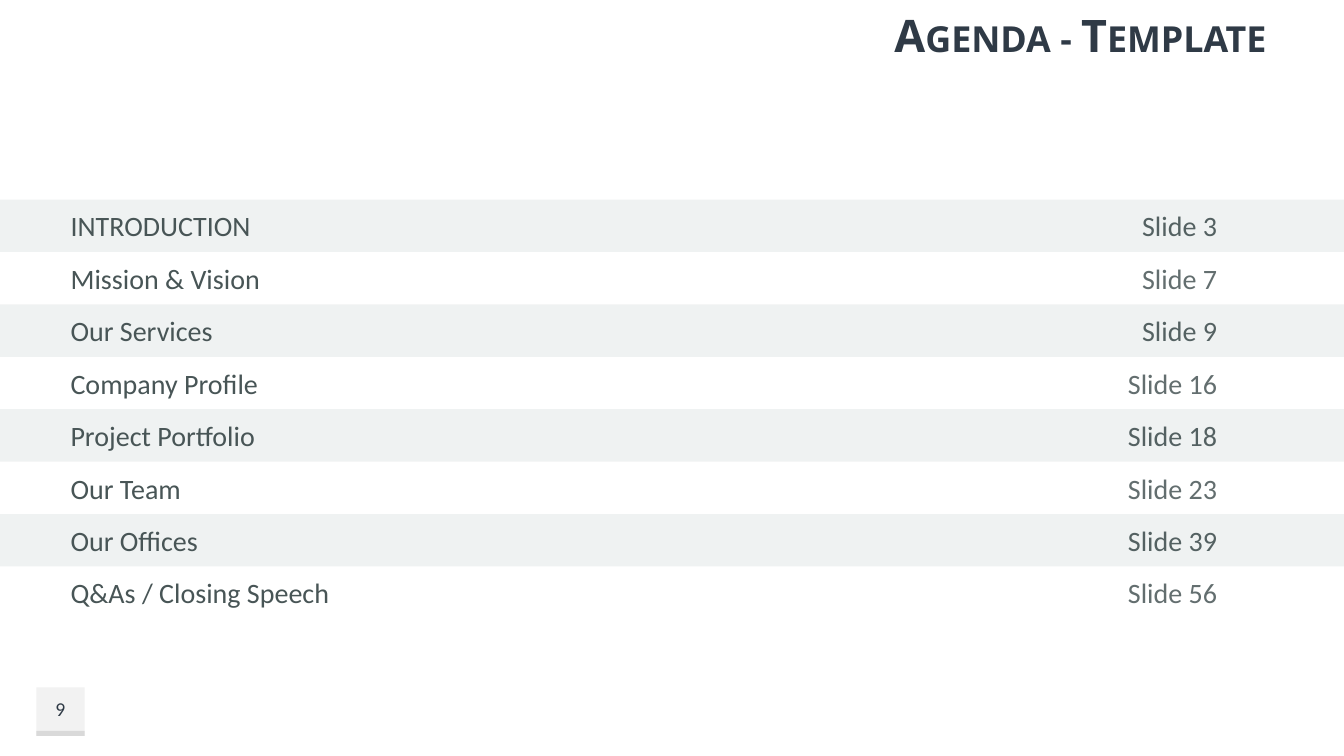
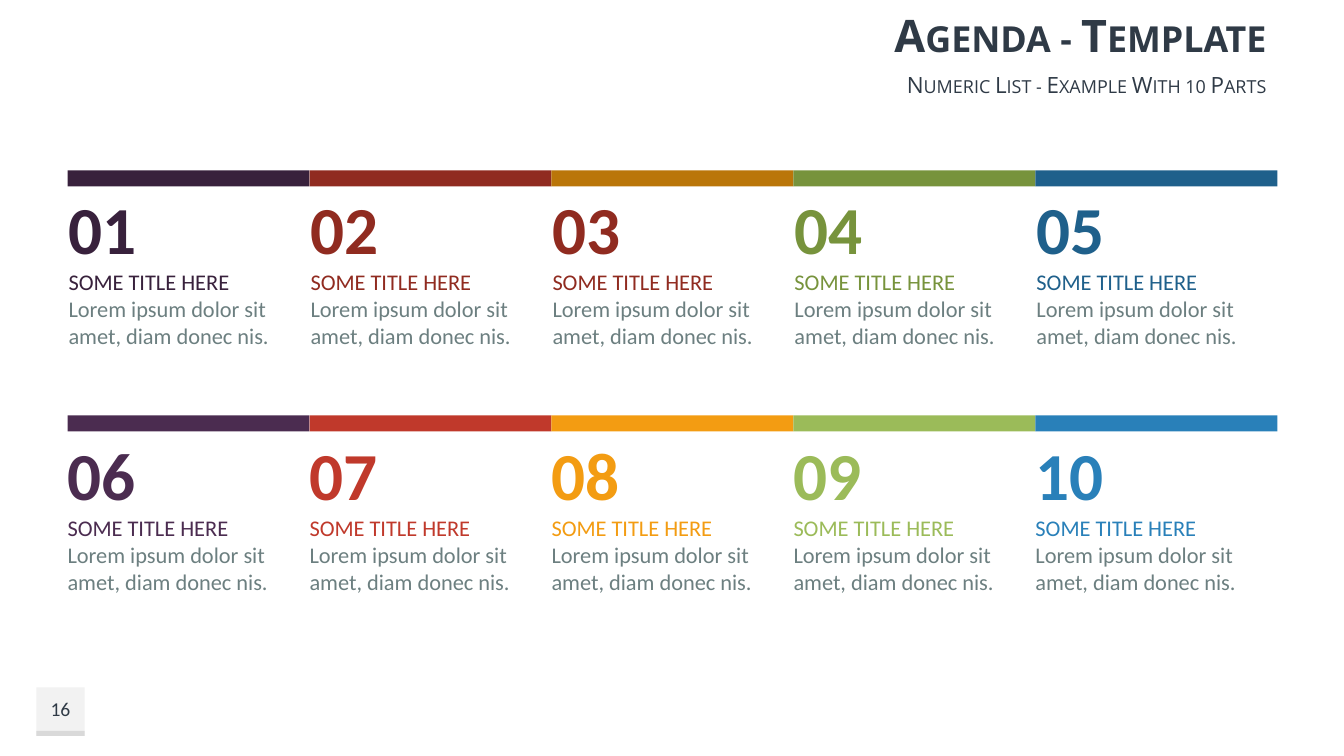
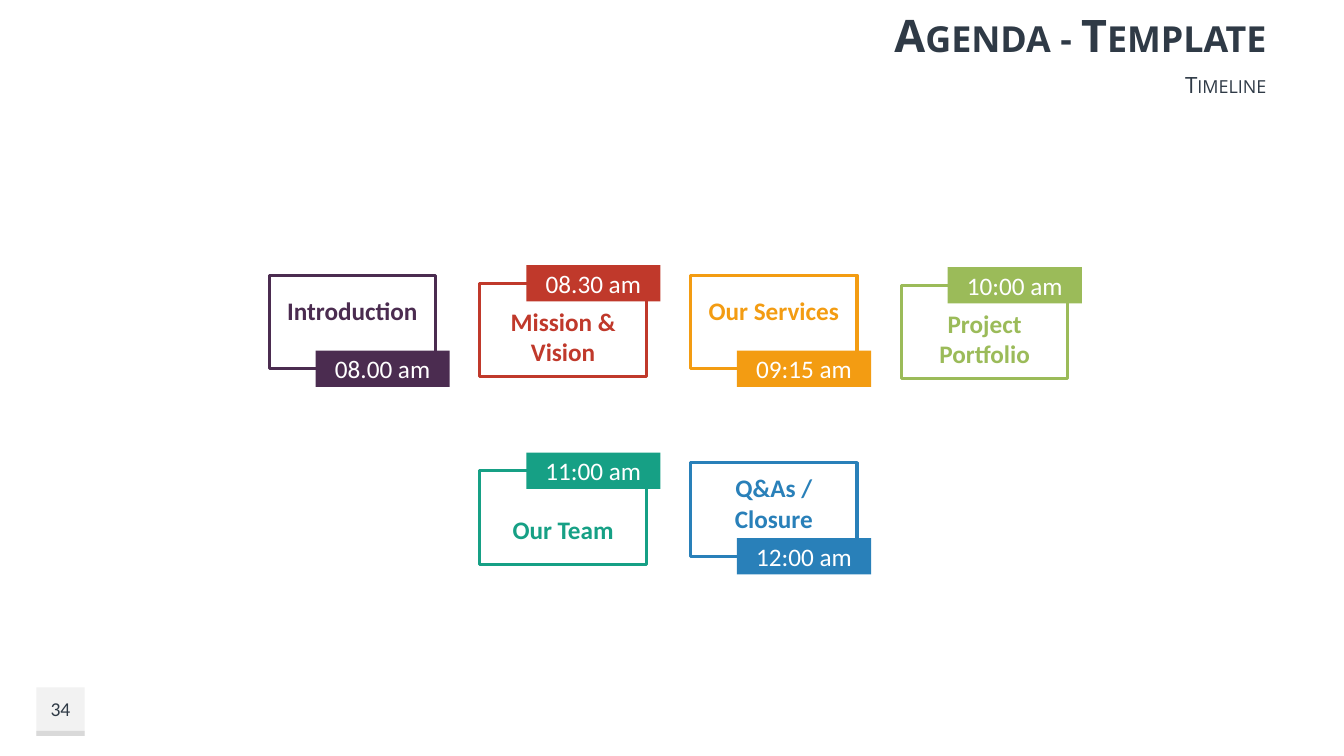
from lxml.etree import SubElement
from pptx import Presentation
from pptx.dml.color import RGBColor
from pptx.enum.shapes import MSO_SHAPE as Preset
from pptx.enum.text import MSO_ANCHOR as Anchor, PP_ALIGN as Align
from pptx.oxml.ns import qn
from pptx.util import Emu, Pt

EMU_PER_PX = 9144  # 100 px to the inch
PAGE_WIDTH, PAGE_HEIGHT = 1333, 750
BODY_FONT, TITLE_FONT = "Calibri", "Open Sans"
NAVY, SLATE, GREY, WHITE = "2F3A46", "485556", "6C7F80", "FFFFFF"
BAND = "9AAAAA"
PURPLE, RED, ORANGE = "4B2C50", "C0392B", "F39C12"
GREEN, BLUE, TEAL = "9BBB59", "2980B9", "16A085"
DARK_PURPLE, DARK_RED, DARK_ORANGE = "38213C", "902B20", "BA7609"
DARK_GREEN, DARK_BLUE = "77933C", "1F608B"
DEFAULT_INSETS = (10, 5, 10, 5)

AGENDA = [
    ("INTRODUCTION", 3),
    ("Mission & Vision", 7),
    ("Our Services", 9),
    ("Company Profile", 16),
    ("Project Portfolio", 18),
    ("Our Team", 23),
    ("Our Offices", 39),
    ("Q&As / Closing Speech", 56),
]

# Bar top, text offset from the column, then (bar colour, text colour) pairs
NUMBER_ROWS = [
    (169, 1, [(DARK_PURPLE, DARK_PURPLE), (DARK_RED, DARK_RED),
              (DARK_ORANGE, DARK_RED), (DARK_GREEN, DARK_GREEN),
              (DARK_BLUE, DARK_BLUE)]),
    (412, 0, [(colour, colour)
              for colour in (PURPLE, RED, ORANGE, GREEN, BLUE)]),
]

# Label, time, colour, column, top, time tab above, text padding
CARDS = [
    ("Introduction", "08.00 am", PURPLE, 0, 273, False, 20),
    ("Mission & Vision", "08.30 am", RED, 1, 281, True, 10),
    ("Our Services", "09:15 am", ORANGE, 2, 273, False, 20),
    ("Project Portfolio", "10:00 am", GREEN, 3, 283, True, 10),
    ("Our Team", "11:00 am", TEAL, 1, 467, True, 20),
    ("Q&As / Closure", "12:00 am", BLUE, 2, 459, False, 10),
]


def px(length):
    return Emu(length * EMU_PER_PX)


def rgb(colour):
    return RGBColor.from_string(colour)


def add_rect(shapes, left, top, width, height, fill=None, line=None, opacity=100):
    box = shapes.add_shape(Preset.RECTANGLE, px(left), px(top), px(width), px(height))
    box.shadow.inherit = False
    if fill:
        box.fill.solid()
        box.fill.fore_color.rgb = rgb(fill)
        if opacity < 100:
            colour = box._element.spPr.find(qn("a:solidFill"))[0]
            SubElement(colour, qn("a:alpha")).set("val", str(opacity * 1000))
    else:
        box.fill.background()
    if line:
        box.line.color.rgb = rgb(line)
        box.line.width = Pt(2.25)
    else:
        box.line.fill.background()
    return box


def add_text_box(page, left, top, width, height):
    return page.shapes.add_textbox(px(left), px(top), px(width), px(height))


def style_paragraph(para, size, colour, bold=False, font=BODY_FONT,
                    align=Align.LEFT, small_caps=False):
    para.alignment = align
    for span in para.runs:
        span.font.name = font
        span.font.size = Pt(size)
        span.font.bold = bold
        span.font.color.rgb = rgb(colour)
        if small_caps:
            span._r.get_or_add_rPr().set("cap", "small")


def set_frame(box, anchor, insets):
    frame = box.text_frame
    frame.word_wrap = True
    frame.vertical_anchor = anchor
    (frame.margin_left, frame.margin_top,
     frame.margin_right, frame.margin_bottom) = map(px, insets)
    return frame


def write(box, text, size, colour, anchor=Anchor.MIDDLE, insets=DEFAULT_INSETS, **style):
    """Put one styled paragraph into a shape or text box."""
    frame = set_frame(box, anchor, insets)
    frame.text = text
    style_paragraph(frame.paragraphs[0], size, colour, **style)


def add_page(deck, number, subtitle=None):
    """Add a slide with the shared title, subtitle and page number tab."""
    page = deck.slides.add_slide(deck.slide_layouts[6])
    tab = page.shapes.add_group_shape().shapes
    add_rect(tab, 36, 682, 48, 48, fill="F2F2F2")
    add_rect(tab, 36, 725, 48, 5, fill="D9D9D9")
    write(add_text_box(page, 36, 682, 48, 43), str(number), 14, NAVY, align=Align.CENTER)
    heading = dict(font=TITLE_FONT, align=Align.RIGHT, small_caps=True)
    write(add_text_box(page, 425, 0, 841, 68), "Agenda - Template", 32, NAVY,
          bold=True, **heading)
    if subtitle:
        write(add_text_box(page, 425, 68, 841, 31), subtitle, 16, NAVY, **heading)
    return page


def add_agenda_row(page, index, topic, slide_number):
    top = 198 + 52 * index
    number_box = add_text_box(page, 958, top + 4, 259, 44)
    write(number_box, f"Slide {slide_number}", 20, SLATE, align=Align.RIGHT)
    band = add_rect(page.shapes, 0, top, PAGE_WIDTH, 52,
                    fill=WHITE if index % 2 else BAND, opacity=15)
    write(band, topic, 20, SLATE, insets=(70, 5, 10, 5))


def add_numbered_part(page, number, left, top, colour):
    box = add_text_box(page, left, top, 239, 199)
    frame = set_frame(box, Anchor.TOP, (0, 0, 13, 0))
    frame.text = (f"{number:02}\nSOME TITLE HERE\n"
                  "Lorem ipsum dolor sit amet, diam donec nis.")
    numeral, title, body = frame.paragraphs
    style_paragraph(numeral, 48, colour, bold=True)
    style_paragraph(title, 16, colour)
    style_paragraph(body, 16, GREY)


def add_card(page, label, time, colour, column, top, tab_above, padding):
    """Add an outlined card with a time tab on its top or bottom edge."""
    left = 267 + 209 * column
    group = page.shapes.add_group_shape().shapes
    card = add_rect(group, left, top, 165, 93, line=colour)
    if tab_above:
        anchor, insets, tab_top = Anchor.BOTTOM, (5, 5, 5, padding), top - 18
    else:
        anchor, insets, tab_top = Anchor.TOP, (5, padding, 5, 5), top + 75
    write(card, label, 18, colour, anchor, insets, bold=True, align=Align.CENTER)
    tab = add_rect(group, left + 46, tab_top, 133, 36, fill=colour)
    write(tab, time, 18, WHITE, insets=(5, 0, 5, 0), align=Align.CENTER)


def build_agenda(deck):
    page = add_page(deck, 9)
    for index, (topic, slide_number) in enumerate(AGENDA):
        add_agenda_row(page, index, topic, slide_number)


def build_numeric_list(deck):
    page = add_page(deck, 16, "Numeric List - Example With 10 Parts")
    number = 0
    for top, offset, colours in NUMBER_ROWS:
        for column, (bar_colour, text_colour) in enumerate(colours):
            number += 1
            left = 67 + 240 * column
            add_rect(page.shapes, left, top, 240, 16, fill=bar_colour)
            add_numbered_part(page, number, left + offset, top + 18 - offset, text_colour)


def build_timeline(deck):
    page = add_page(deck, 34, "Timeline")
    for card in CARDS:
        add_card(page, *card)


def main():
    deck = Presentation()
    deck.slide_width, deck.slide_height = px(PAGE_WIDTH), px(PAGE_HEIGHT)
    build_agenda(deck)
    build_numeric_list(deck)
    build_timeline(deck)
    deck.save("out.pptx")


if __name__ == "__main__":
    main()
